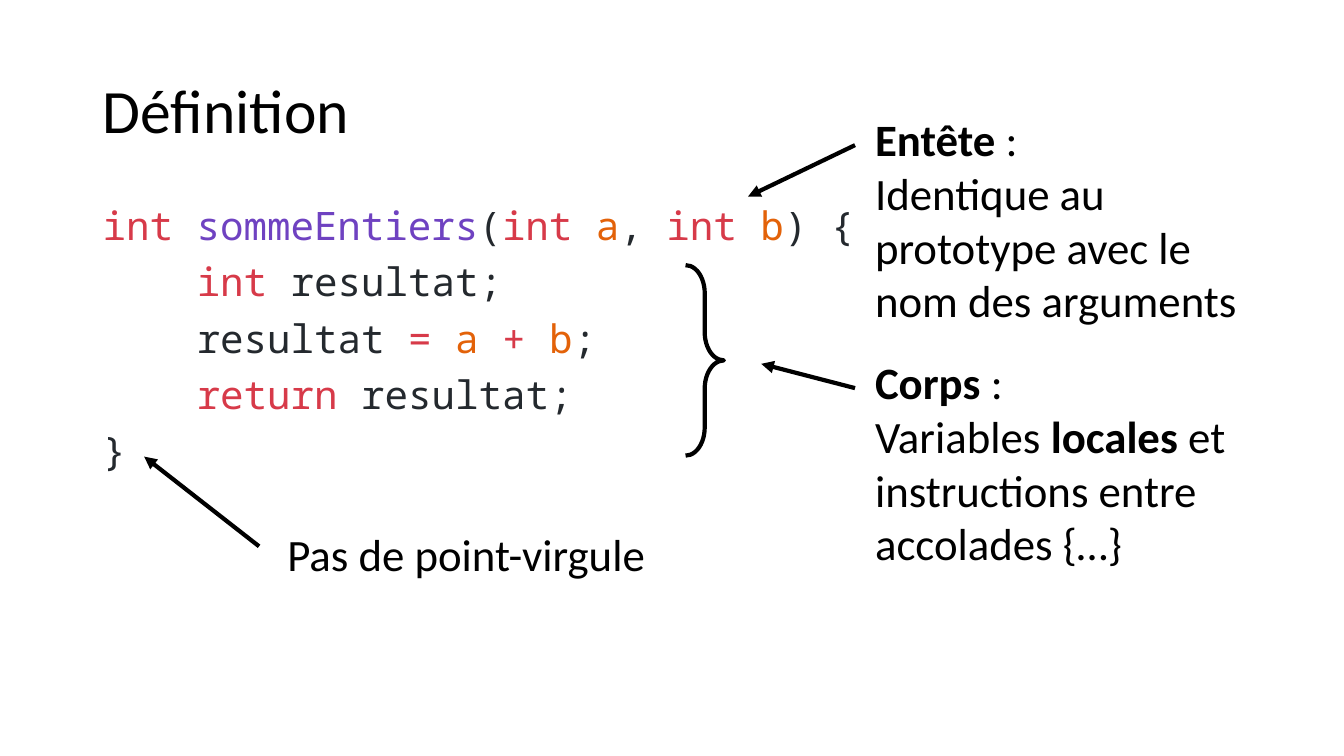
from lxml import etree
from pptx import Presentation
from pptx.dml.color import RGBColor
from pptx.enum.shapes import MSO_CONNECTOR, MSO_SHAPE
from pptx.enum.text import MSO_ANCHOR, MSO_AUTO_SIZE, PP_ALIGN
from pptx.oxml.ns import qn
from pptx.util import Inches, Pt

STRAIGHT = MSO_CONNECTOR.STRAIGHT
RIGHT_BRACE = MSO_SHAPE.RIGHT_BRACE
MIDDLE, TOP = MSO_ANCHOR.MIDDLE, MSO_ANCHOR.TOP
NO_FIT = MSO_AUTO_SIZE.NONE
LEFT, CENTER = PP_ALIGN.LEFT, PP_ALIGN.CENTER

WIDTH, HEIGHT = Inches(13.33), Inches(7.5)
COLORS = {
    "text": "000000",
    "keyword": "D73A49",
    "function": "6F42C1",
    "argument": "E36209",
    "plain": "24292E",
}
TEXT_FONT, CODE_FONT = "Calibri", "Noto Sans Mono"
TITLE_SIZE, CODE_SIZE, CALLOUT_SIZE = 44, 28, 32
CODE_INDENT = Pt(4 * 0.6 * CODE_SIZE)
LINE_WIDTH = Pt(3)

CODE = [
    (0, [("int ", "keyword"), ("sommeEntiers", "function"), ("(", "plain"),
         ("int ", "keyword"), ("a", "argument"), (", ", "plain"),
         ("int ", "keyword"), ("b", "argument"), (") {", "plain")]),
    (1, [("int ", "keyword"), ("resultat;", "plain")]),
    (1, [("resultat ", "plain"), ("= ", "keyword"), ("a ", "argument"),
         ("+ ", "keyword"), ("b", "argument"), (";", "plain")]),
    (1, [("return ", "keyword"), ("resultat;", "plain")]),
    (0, [("}", "plain")]),
]
SIDE_OFFSET = (-0.75, 5.07)
NOTE_OFFSET = (-0.15, 3.2)
CALLOUTS = [
    (["**Entête** :", "Identique au prototype avec le nom des arguments"],
     (64.37, 14.13, 29.86, 30.13), LEFT, SIDE_OFFSET, (55.66, 26)),
    (["**Corps** :", "Variables **locales** et instructions entre accolades {…}"],
     (64.37, 46.27, 29.86, 30.13), LEFT, SIDE_OFFSET, (56.64, 48.13)),
    (["Pas de point-virgule"],
     (19.43, 69.07, 30.53, 8.53), CENTER, NOTE_OFFSET, (10.73, 60.4)),
]


def to_point(x, y):
    return round(WIDTH * x / 100), round(HEIGHT * y / 100)


def to_box(left, top, width, height):
    return to_point(left, top) + to_point(width, height)


def format_run(run, font, size, color="text", bold=False):
    run.font.name = font
    run.font.size = Pt(size)
    run.font.bold = bold
    run.font.color.rgb = RGBColor.from_string(COLORS[color])


def add_text_frame(slide, box):
    text_frame = slide.shapes.add_textbox(*to_box(*box)).text_frame
    text_frame.word_wrap = True
    text_frame.vertical_anchor = TOP
    return text_frame


def add_paragraph(text_frame, index):
    return text_frame.add_paragraph() if index else text_frame.paragraphs[0]


def set_line(shape):
    shape.line.color.rgb = RGBColor.from_string(COLORS["text"])
    shape.line.width = LINE_WIDTH


def add_title(slide, text, box):
    title = slide.shapes.title
    title.left, title.top, title.width, title.height = to_box(*box)
    text_frame = title.text_frame
    text_frame.text = text
    text_frame.vertical_anchor = MIDDLE
    text_frame.auto_size = NO_FIT
    paragraph = text_frame.paragraphs[0]
    paragraph.alignment = LEFT
    paragraph.line_spacing = 0.9
    format_run(paragraph.runs[0], TEXT_FONT, TITLE_SIZE)


def add_code(slide, lines, box):
    text_frame = add_text_frame(slide, box)
    for index, (level, tokens) in enumerate(lines):
        paragraph = add_paragraph(text_frame, index)
        paragraph.line_spacing = 0.9
        paragraph.space_before = Pt(10)
        paragraph._p.get_or_add_pPr().set("marL", str(level * CODE_INDENT))
        for text, role in tokens:
            run = paragraph.add_run()
            run.text = text
            format_run(run, CODE_FONT, CODE_SIZE, role)


def add_brace(slide, box):
    brace = slide.shapes.add_shape(RIGHT_BRACE, *to_box(*box))
    brace.adjustments[0] = 0.736
    brace.shadow.inherit = False
    brace.fill.background()
    set_line(brace)


def add_arrow(slide, start, tip):
    arrow = slide.shapes.add_connector(STRAIGHT, *to_point(*start), *to_point(*tip))
    set_line(arrow)
    etree.SubElement(arrow.line._get_or_add_ln(), qn("a:tailEnd"), type="triangle")
    etree.SubElement(arrow._element.spPr, qn("a:effectLst"))


def add_callout(slide, lines, box, alignment, arrow_offset, tip):
    text_frame = add_text_frame(slide, box)
    for index, line in enumerate(lines):
        paragraph = add_paragraph(text_frame, index)
        paragraph.alignment = alignment
        for position, text in enumerate(line.split("**")):
            if text:
                run = paragraph.add_run()
                run.text = text
                format_run(run, TEXT_FONT, CALLOUT_SIZE, bold=position % 2 == 1)
    start = (box[0] + arrow_offset[0], box[1] + arrow_offset[1])
    add_arrow(slide, start, tip)


def main():
    presentation = Presentation()
    presentation.slide_width, presentation.slide_height = WIDTH, HEIGHT
    slide = presentation.slides.add_slide(presentation.slide_layouts[5])
    add_title(slide, "Définition", (6.9, 5.33, 86.27, 19.33))
    add_code(slide, CODE, (6.9, 26.67, 86.27, 63.47))
    add_brace(slide, (51.01, 35.07, 2.85, 25.2))
    for callout in CALLOUTS:
        add_callout(slide, *callout)
    presentation.save("out.pptx")


if __name__ == "__main__":
    main()
